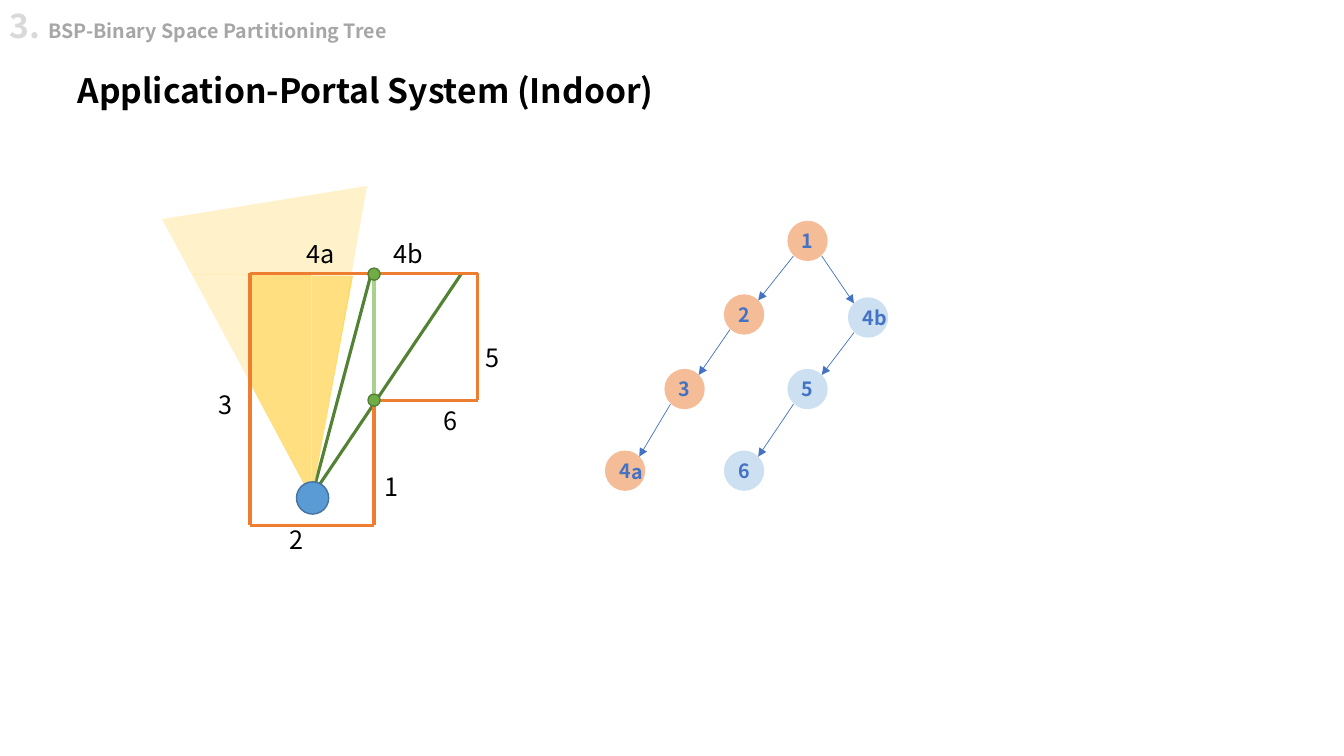
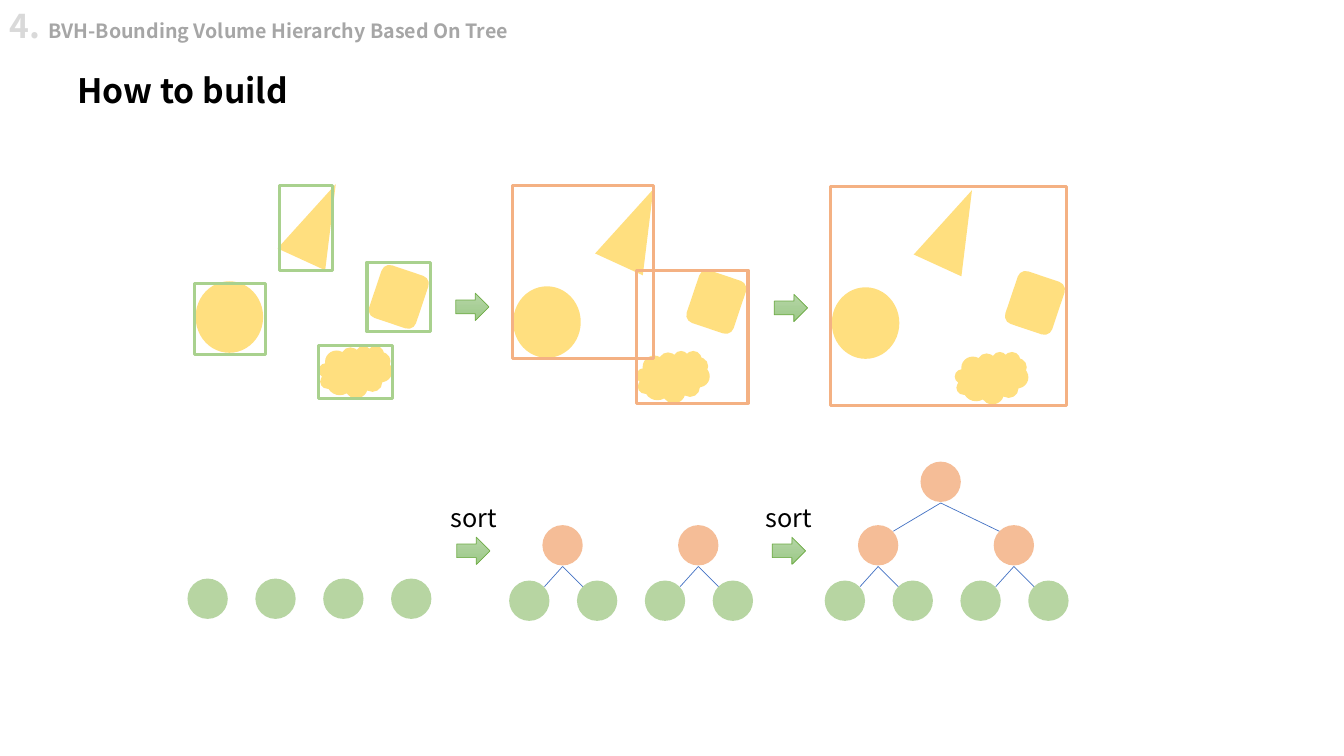
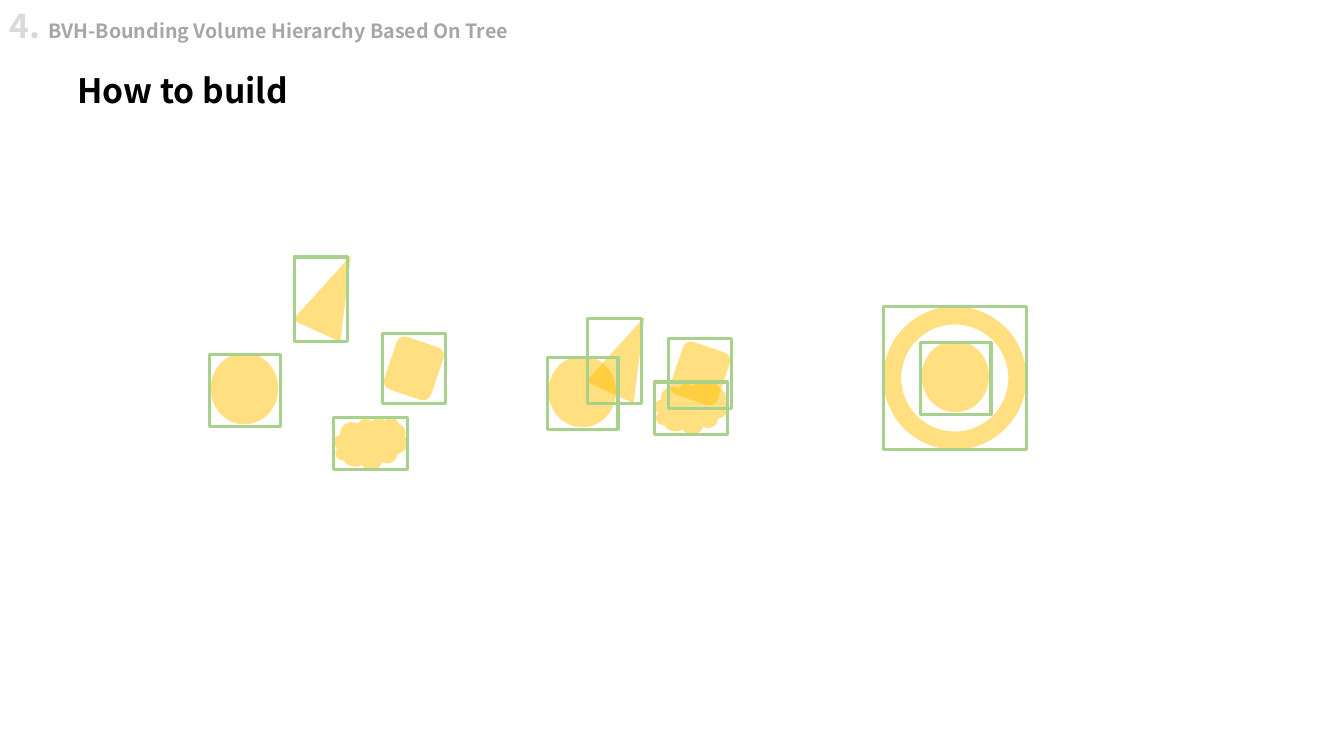
from itertools import pairwise

from lxml import etree
from pptx import Presentation
from pptx.dml.color import RGBColor
from pptx.enum.shapes import MSO_CONNECTOR, MSO_SHAPE
from pptx.enum.text import MSO_ANCHOR, MSO_AUTO_SIZE, PP_ALIGN
from pptx.oxml.ns import qn
from pptx.util import Inches, Pt

STRAIGHT = MSO_CONNECTOR.STRAIGHT
OVAL, RECTANGLE = MSO_SHAPE.OVAL, MSO_SHAPE.RECTANGLE
TRIANGLE, RIGHT_TRIANGLE = MSO_SHAPE.ISOSCELES_TRIANGLE, MSO_SHAPE.RIGHT_TRIANGLE
ROUNDED, CLOUD = MSO_SHAPE.ROUNDED_RECTANGLE, MSO_SHAPE.CLOUD
DONUT, RIGHT_ARROW = MSO_SHAPE.DONUT, MSO_SHAPE.RIGHT_ARROW
LEFT, CENTER = PP_ALIGN.LEFT, PP_ALIGN.CENTER
MIDDLE = MSO_ANCHOR.MIDDLE
FIT_SHAPE = MSO_AUTO_SIZE.SHAPE_TO_FIT_TEXT

FONT = "Noto Sans CJK SC"
COLORS = {
    "text": "000000", "number": "D9D9D9", "chapter": "A6A6A6", "white": "FFFFFF",
    "view": "FFD966", "frustum": "FFE699", "sight": "548235",
    "wall": "ED7D31", "portal": "A9D18E", "post": "70AD47", "post_line": "538035",
    "eye": "5B9BD5", "eye_line": "43739E",
    "front": "ED7D31", "back": "9DC3E6", "link": "4472C4",
    "object": "FFC000", "leaf": "70AD47", "bounds": "A9D18E", "merged": "F4B183",
    "arrow_top": "B5D5A7", "arrow_bottom": "9CC987", "arrow_line": "70AD47",
}
NODE = 0.4       # diameter of a tree node
NODE_EDGE = 0.06  # distance from a node's box to where its links attach
LEAF_PITCH = 0.673

# Scene objects: shape, width, height, rotation, then the bounding box
# as offset from the object and size
OBJECTS = {
    "circle": (OVAL, 0.67, 0.71, 0, (-0.01, 0.02, 0.7, 0.71)),
    "triangle": (TRIANGLE, 0.52, 0.82, 24.6, (-0.13, 0.05, 0.53, 0.84)),
    "square": (ROUNDED, 0.49, 0.55, 18.6, (-0.07, -0.07, 0.63, 0.69)),
    "cloud": (CLOUD, 0.73, 0.52, 0, (0, 0, 0.73, 0.52)),
}
SPREAD = {"circle": (0.01, 1), "triangle": (0.97, 0),
          "square": (1.78, 0.88), "cloud": (1.23, 1.64)}
OVERLAPPING = {"circle": (0, 0.42), "triangle": (0.52, 0),
               "square": (1.26, 0.32), "cloud": (1.05, 0.68)}


# Building blocks
def rgb(name):
    return RGBColor.from_string(COLORS[name])


def write(frame, text, size=18, bold=False, color="text", align=CENTER):
    """Append a formatted run to the first paragraph of a text frame."""
    paragraph = frame.paragraphs[0]
    paragraph.alignment = align
    run = paragraph.add_run()
    run.text = text
    run.font.name, run.font.size, run.font.bold = FONT, Pt(size), bold
    run.font.color.rgb = rgb(color)


def add_text(slide, box, text, **text_format):
    frame = slide.shapes.add_textbox(*map(Inches, box)).text_frame
    frame.word_wrap = True
    frame.auto_size = FIT_SHAPE
    write(frame, text, **text_format)
    return frame


def add_shape(slide, kind, box, fill=None, opacity=100, line=None, width=1,
              rotation=0, flips=()):
    shape = slide.shapes.add_shape(kind, *map(Inches, box))
    shape.shadow.inherit = False
    shape.rotation = rotation
    if fill:
        shape.fill.solid()
        shape.fill.fore_color.rgb = rgb(fill)
    else:
        shape.fill.background()
    if opacity < 100:
        color = shape._element.spPr.find(".//" + qn("a:srgbClr"))
        etree.SubElement(color, qn("a:alpha")).set("val", str(opacity * 1000))
    if line:
        shape.line.color.rgb = rgb(line)
        shape.line.width = Pt(width)
    else:
        shape.line.fill.background()
    for flip in flips:
        shape._element.spPr.find(qn("a:xfrm")).set(flip, "1")
    return shape


def add_line(slide, start, end, color, width, arrow=False):
    line = slide.shapes.add_connector(STRAIGHT, *map(Inches, (*start, *end)))
    line.line.color.rgb = rgb(color)
    line.line.width = Pt(width)
    if arrow:
        outline = line._element.spPr.find(qn("a:ln"))
        etree.SubElement(outline, qn("a:tailEnd")).set("type", "triangle")
    etree.SubElement(line._element.spPr, qn("a:effectLst"))


def add_node(slide, left, top, color):
    return add_shape(slide, OVAL, (left, top, NODE, NODE), fill=color, opacity=50)


def add_arrow(slide, left, top):
    arrow = add_shape(slide, RIGHT_ARROW, (left, top, 0.33, 0.27),
                      line="arrow_line", width=0.5)
    arrow.fill.gradient()
    arrow.fill.gradient_angle = 270
    for stop, color in zip(arrow.fill.gradient_stops, ("arrow_top", "arrow_bottom")):
        stop.color.rgb = rgb(color)


def add_page(presentation, number, chapter, title):
    slide = presentation.slides.add_slide(presentation.slide_layouts[6])
    add_text(slide, (0.67, 0.64, 11.99, 0.5), title, size=24, bold=True, align=LEFT)
    header = add_text(slide, (0, 0, 11.99, 0.5), f"{number}. ", size=24, bold=True,
                      color="number", align=LEFT)
    write(header, chapter, size=14, bold=True, color="chapter", align=LEFT)
    return slide


# Portal slide
def add_room(slide, left, top):
    def at(x, y):
        return left + x, top + y

    # Visible area inside the room, cut off at the left wall
    for x, y, height, color, flips in (
            (-1.09, 0.53, 1.18, "view", ["flipH"]),
            (-0.29, 0.93, 0.41, "view", ["flipH", "flipV"]),
            (-1.53, 0.71, 0.82, "white", ["flipH"])):
        add_shape(slide, RIGHT_TRIANGLE, (*at(x, y), 2.21, height), fill=color,
                  rotation=270, flips=flips)
    # Sight lines through the portal, view frustum and eye
    add_line(slide, at(2.1, 0), at(0.6, 2.23), "sight", 2.25)
    add_line(slide, at(1.19, 0.05), at(0.61, 2.23), "sight", 2.25)
    add_shape(slide, TRIANGLE, (*at(-0.65, -0.72), 2.06, 2.97), fill="frustum",
              opacity=50, rotation=170.8)
    add_shape(slide, OVAL, (*at(0.46, 2.07), 0.32, 0.32), fill="eye", line="eye_line")
    # Walls and portal
    corners = [(2.26, 0), (0, 0), (0, 2.5), (1.23, 2.5), (1.23, 1.26), (2.26, 1.26),
               (2.26, 0)]
    for start, end in pairwise(corners):
        add_line(slide, at(*start), at(*end), "wall", 2.25)
    add_line(slide, at(1.23, 1.24), at(1.23, 0.02), "portal", 2.25)
    for text, x, y in (("2", 0.19, 2.44), ("3", -0.52, 1.1), ("1", 1.13, 1.92),
                       ("6", 1.71, 1.26), ("5", 2.13, 0.64), ("4b", 1.29, -0.39),
                       ("4a", 0.42, -0.39)):
        add_text(slide, (*at(x, y), 0.55, 0.4), text)
    for y in (-0.05, 1.2):
        add_shape(slide, OVAL, (*at(1.17, y), 0.12, 0.12), fill="post",
                  line="post_line")


def add_partition_tree(slide, left, top):
    nodes = {"1": (1.81, 0, "front"), "2": (1.18, 0.73, "front"),
             "3": (0.59, 1.47, "front"), "4a": (0, 2.28, "front"),
             "4b": (2.41, 0.76, "back"), "5": (1.81, 1.47, "back"),
             "6": (1.18, 2.28, "back")}
    label = {"size": 14, "bold": True, "color": "link"}
    for name, (x, y, color) in nodes.items():
        node = add_node(slide, left + x, top + y, color)
        frame = node.text_frame
        frame.margin_left = frame.margin_right = 0
        frame.vertical_anchor = MIDDLE
        write(frame, name[0], **label)
        if name[1:]:
            add_text(slide, (left + x + 0.1, top + y + 0.04, 0.45, 0.34), name[1:],
                     **label)
    near, far = NODE_EDGE, NODE - NODE_EDGE
    for parent, child in ("12", "23", ("3", "4a"), ("1", "4b"), ("4b", "5"), "56"):
        (x1, y1, _), (x2, y2, _) = nodes[parent], nodes[child]
        out, into = (near, far) if x2 < x1 else (far, near)
        add_line(slide, (left + x1 + out, top + y1 + 0.35),
                 (left + x2 + into, top + y2 + near), "link", 0.5, arrow=True)


# Hierarchy slides
def add_scene(slide, left, top, places, bounded=True):
    """Objects at their places, each with its bounding box if wanted."""
    bounds = []
    for name, (x, y) in places.items():
        kind, width, height, rotation, (dx, dy, *size) = OBJECTS[name]
        add_shape(slide, kind, (left + x, top + y, width, height), fill="object",
                  opacity=50, rotation=rotation)
        bounds.append((left + x + dx, top + y + dy, *size))
    if bounded:
        add_bounds(slide, bounds, "bounds")


def add_bounds(slide, boxes, color):
    for box in boxes:
        add_shape(slide, RECTANGLE, box, line=color, width=2.25)


def add_ring_scene(slide, left, top):
    add_scene(slide, left, top, {"circle": (0.38, 0.34)})
    box = (left, top, 1.42, 1.42)
    ring = add_shape(slide, DONUT, box, fill="object", opacity=50)
    ring.adjustments[0] = 0.126
    add_bounds(slide, [box], "bounds")


def add_sort_step(slide, left, top):
    add_arrow(slide, left + 0.31, top + 0.4)
    add_text(slide, (left, top, 0.95, 0.4), "sort")


def add_volume_tree(slide, left, leaf_top, levels):
    """Four leaves, with pairs joined at level 2 and a root at level 3."""
    for index in range(4):
        add_node(slide, left + index * LEAF_PITCH, leaf_top, "leaf")
    branches = []
    if levels > 1:
        branches += [(left + 0.33 + pair * 2 * LEAF_PITCH, leaf_top - 0.55,
                      (-0.18, 0.2), 0.2) for pair in range(2)]
    if levels > 2:
        branches.append((left + 0.95, leaf_top - 1.18, (-0.47, 0.58), 0.28))
    for x, y, spread, drop in branches:
        add_node(slide, x, y, "front")
        fork = (x + NODE / 2, y + NODE + 0.01)
        for shift in spread:
            add_line(slide, fork, (fork[0] + shift, fork[1] + drop), "link", 0.5)


def main():
    presentation = Presentation()
    presentation.slide_width = Inches(13.33)
    presentation.slide_height = Inches(7.5)
    hierarchy = (4, "BVH-Bounding Volume Hierarchy Based On Tree", "How to build")

    # Portal system
    slide = add_page(presentation, 3, "BSP-Binary Space Partitioning Tree",
                     "Application-Portal System (Indoor)")
    add_room(slide, 2.48, 2.71)
    add_partition_tree(slide, 6, 2.19)

    # Merging bounding boxes step by step
    slide = add_page(presentation, *hierarchy)
    add_scene(slide, 1.93, 1.79, SPREAD)
    add_arrow(slide, 4.52, 2.91)
    add_scene(slide, 5.08, 1.84, SPREAD, bounded=False)
    add_bounds(slide, [(5.08, 1.84, 1.4, 1.72), (6.31, 2.68, 1.11, 1.32)], "merged")
    add_arrow(slide, 7.68, 2.92)
    add_scene(slide, 8.24, 1.85, SPREAD, bounded=False)
    add_bounds(slide, [(8.24, 1.85, 2.34, 2.17)], "merged")
    for levels, (left, top) in enumerate([(1.86, 5.74), (5.05, 5.76), (8.18, 5.76)], 1):
        add_volume_tree(slide, left, top, levels)
    for left in (4.22, 7.35):
        add_sort_step(slide, left, 4.93)

    # Separate, overlapping and enclosing objects
    slide = add_page(presentation, *hierarchy)
    add_scene(slide, 2.08, 2.5, SPREAD)
    add_scene(slide, 5.44, 3.11, OVERLAPPING)
    add_ring_scene(slide, 8.76, 3.04)

    presentation.save("out.pptx")


if __name__ == "__main__":
    main()
